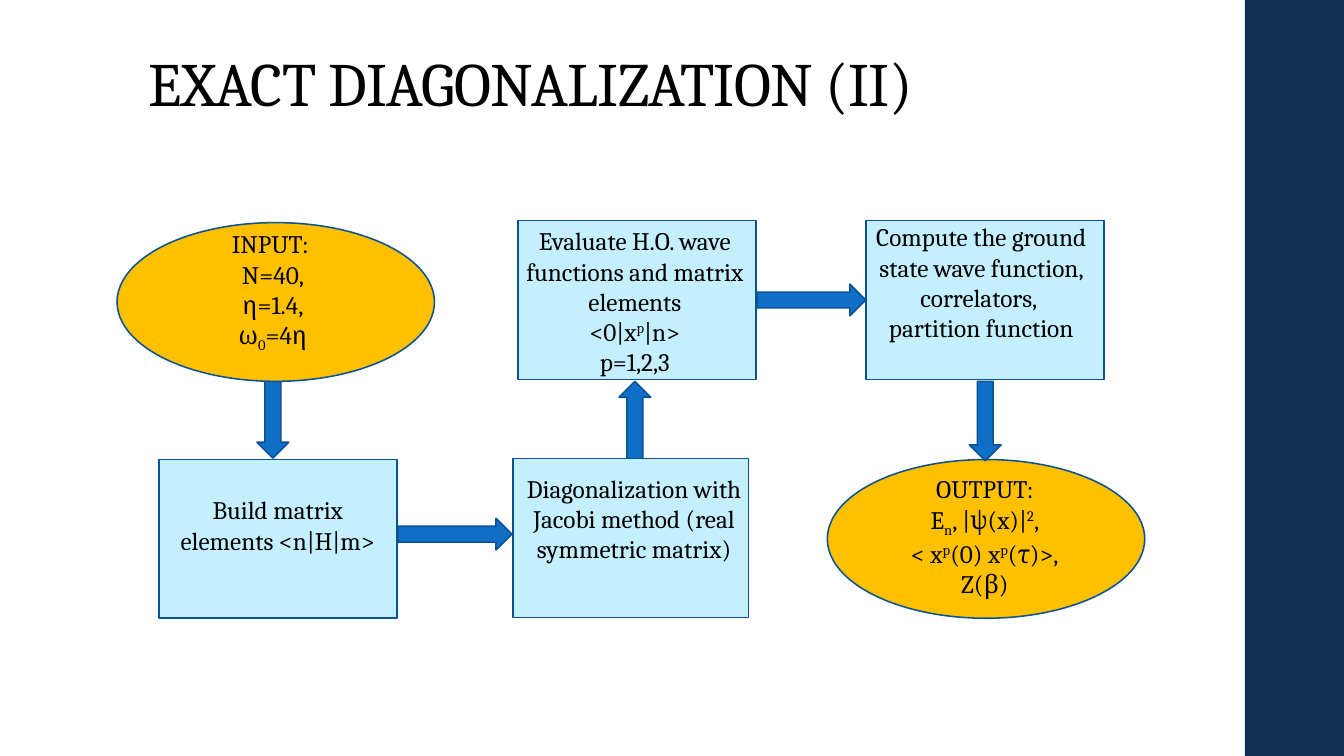
from dataclasses import dataclass

from pptx import Presentation
from pptx.dml.color import RGBColor
from pptx.enum.shapes import MSO_SHAPE
from pptx.enum.text import MSO_ANCHOR, PP_ALIGN
from pptx.util import Cm, Pt

RECT, OVAL, ARROW = MSO_SHAPE.RECTANGLE, MSO_SHAPE.OVAL, MSO_SHAPE.RIGHT_ARROW
LEFT, CENTER = PP_ALIGN.LEFT, PP_ALIGN.CENTER
TOP, BOTTOM = MSO_ANCHOR.TOP, MSO_ANCHOR.BOTTOM

BLACK = RGBColor(0x00, 0x00, 0x00)
NAVY = RGBColor(0x11, 0x30, 0x52)
BLUE = RGBColor(0x0F, 0x6F, 0xC6)
OUTLINE = RGBColor(0x0B, 0x52, 0x92)
GOLD = RGBColor(0xFF, 0xC0, 0x00)
PALE = RGBColor(0xC4, 0xEF, 0xFF)

FONT = "Cambria"
SUBSCRIPT, SUPERSCRIPT = "_", "^"
BASELINES = {SUBSCRIPT: "-25000", SUPERSCRIPT: "30000"}
Box = tuple[float, float, float, float]  # left, top, width, height in cm
NODE_HEIGHT = 4.0
ARROW_HEIGHT = 0.8


@dataclass
class Node:
    kind: MSO_SHAPE
    left: float
    top: float
    width: float
    text_box: Box
    lines: list[str]


@dataclass
class Arrow:
    left: float
    top: float
    length: float
    rotation: int = 0


NODES = [
    Node(OVAL, 2.95, 5.61, 8, (3.38, 5.64, 7, 5.64),
         ["INPUT: ", "N=40,", "η=1.4,", "ω_0=4η"]),
    Node(OVAL, 20.85, 11.58, 8, (22.02, 11.81, 5.6, 3.33),
         ["OUTPUT:", "E_n, |ψ(x)|^2,", "< x^p(0) x^p(τ)>,", "Z(β)"]),
    Node(RECT, 4.01, 11.58, 6, (4, 12.34, 6, 2.57),
         ["Build matrix elements <n|H|m>"]),
    Node(RECT, 12.93, 11.56, 5.94, (12.98, 11.79, 6, 3.33),
         ["Diagonalization with Jacobi method (real symmetric matrix)"]),
    Node(RECT, 21.82, 5.56, 6, (21.54, 5.46, 6.38, 4.11),
         ["Compute the ground state wave function, correlators, \npartition function"]),
    Node(RECT, 13.06, 5.56, 6, (12.85, 5.56, 6.3, 4.88),
         ["Evaluate H.O. wave functions and matrix elements", "<0|x^p|n>", "p=1,2,3"]),
]
ARROWS_BEHIND = [Arrow(15, 10.21, 2, 270), Arrow(5.59, 9.86, 2.57, 90)]
ARROWS_IN_FRONT = [Arrow(19.08, 7.16, 2.74), Arrow(23.83, 10.21, 2, 90),
                   Arrow(10.03, 13.06, 2.87)]


def split_scripts(text: str) -> list[tuple[str, str]]:
    """Split text into (mark, piece); a mark shifts the one character after it."""
    pieces = [("", "")]
    mark = ""
    for char in text:
        if char in BASELINES:
            mark = char
        elif mark:
            pieces += [(mark, char), ("", "")]
            mark = ""
        else:
            pieces[-1] = ("", pieces[-1][1] + char)
    return [piece for piece in pieces if piece[1]]


def write_text(tf, lines: list[str], *, size: float = 18, align=CENTER,
               anchor=TOP, line_spacing: float = 1.0, tracking: int = 0) -> None:
    tf.word_wrap = True
    tf.vertical_anchor = anchor
    for i, line in enumerate(lines):
        p = tf.add_paragraph() if i else tf.paragraphs[0]
        p.alignment = align
        p.line_spacing = line_spacing
        for j, part in enumerate(line.split("\n")):
            if j:
                p.add_line_break()
            for mark, piece in split_scripts(part):
                r = p.add_run()
                r.text = piece
                r.font.name = FONT
                r.font.size = Pt(size)
                r.font.color.rgb = BLACK
                if mark:
                    r.font._element.set("baseline", BASELINES[mark])
                if tracking:
                    r.font._element.set("spc", str(tracking))


def add_filled(slide, kind: MSO_SHAPE, box: Box, fill: RGBColor, outlined: bool = True):
    sp = slide.shapes.add_shape(kind, *map(Cm, box))
    sp.shadow.inherit = False
    sp.fill.solid()
    sp.fill.fore_color.rgb = fill
    if outlined:
        sp.line.color.rgb = OUTLINE
        sp.line.width = Pt(1.1)
    else:
        sp.line.fill.background()
    return sp


def add_arrows(slide, arrows: list[Arrow]) -> None:
    for arrow in arrows:
        box = (arrow.left, arrow.top, arrow.length, ARROW_HEIGHT)
        add_filled(slide, ARROW, box, BLUE).rotation = arrow.rotation


def add_node(slide, node: Node) -> None:
    fill = GOLD if node.kind == OVAL else PALE
    add_filled(slide, node.kind, (node.left, node.top, node.width, NODE_HEIGHT), fill)
    label = slide.shapes.add_textbox(*map(Cm, node.text_box))
    write_text(label.text_frame, node.lines)


def main() -> None:
    prs = Presentation()
    prs.slide_width, prs.slide_height = Cm(33.87), Cm(19.05)
    slide = prs.slides.add_slide(prs.slide_layouts[5])

    title = slide.shapes.title
    title.left, title.top, title.width, title.height = map(Cm, (3.5, 1.02, 26.92, 2.13))
    write_text(title.text_frame, ["EXACT DIAGONALIZATION (II)"], size=44, align=LEFT,
               anchor=BOTTOM, line_spacing=0.9, tracking=-50)

    add_filled(slide, RECT, (31.37, 0, 2.5, 19.05), NAVY, outlined=False)
    add_arrows(slide, ARROWS_BEHIND)
    for node in NODES:
        add_node(slide, node)
    add_arrows(slide, ARROWS_IN_FRONT)

    prs.save("out.pptx")


if __name__ == "__main__":
    main()
